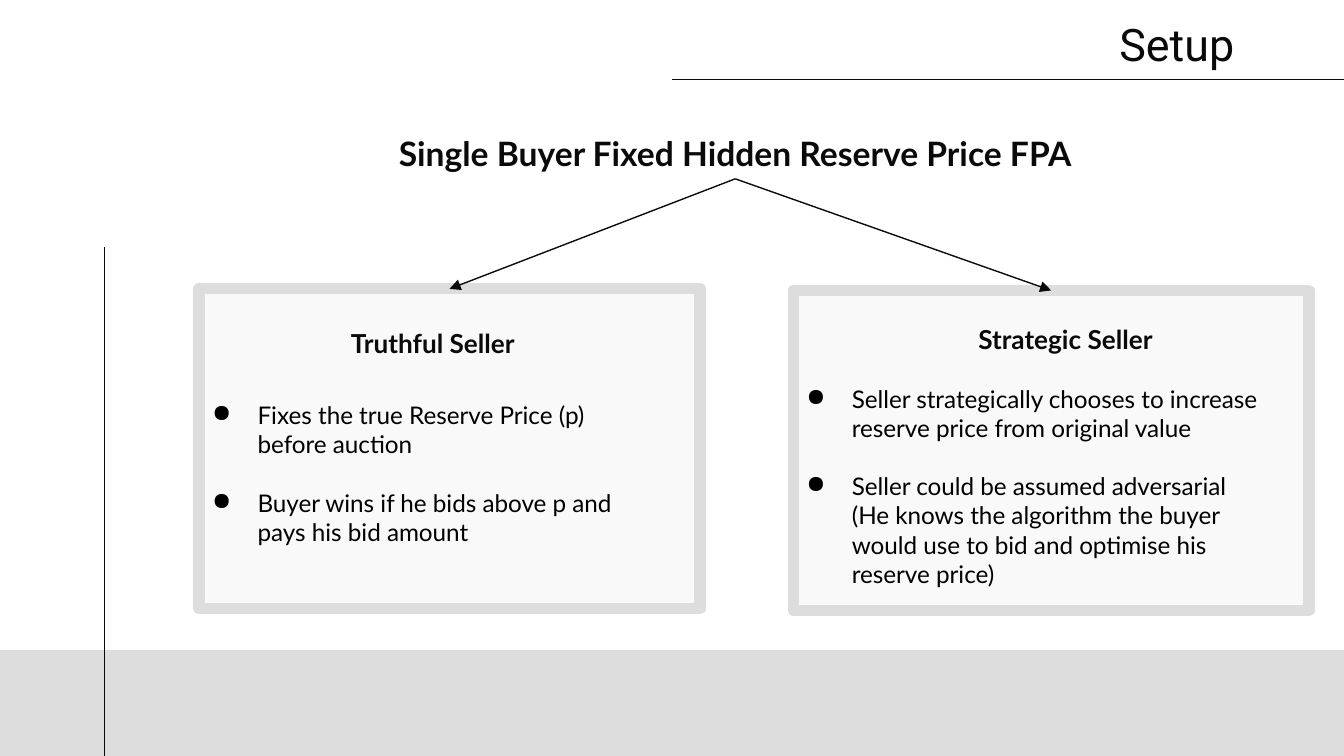
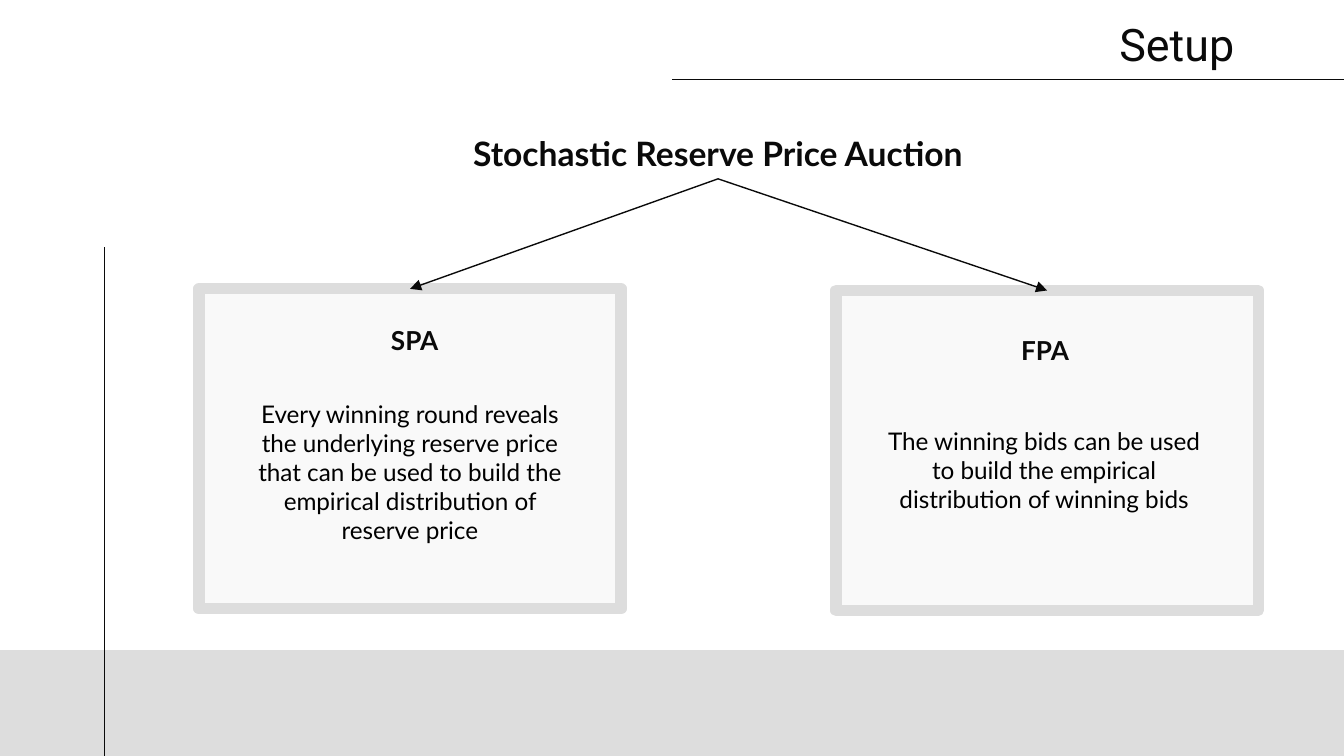
from dataclasses import dataclass
from typing import Optional

import pptx
import pptx.dml.color
import pptx.enum.shapes
import pptx.enum.text
import pptx.oxml
import pptx.oxml.ns
import pptx.util
from lxml import etree

# Shared style; lengths are in centimetres
WIDTH, HEIGHT = 25.4, 14.29
INK, BLACK, GREY, PALE = "0A0A0A", "000000", "DDDDDD", "F9F9F9"
BODY_FONT, TITLE_FONT = "Lato", "Roboto"
INSET = 0.25
BULLET_MARGIN, BULLET_HANG = 1.27, 0.86
CARD_HEIGHT = 6.05
HEADLINE_TOP, HEADLINE_HEIGHT = 2.26, 1.12
LABEL_HEIGHT = 0.79

Cm = pptx.util.Cm
Pt = pptx.util.Pt
CENTER = pptx.enum.text.PP_ALIGN.CENTER
LEFT = pptx.enum.text.PP_ALIGN.LEFT
TOP = pptx.enum.text.MSO_ANCHOR.TOP
BOTTOM = pptx.enum.text.MSO_ANCHOR.BOTTOM


@dataclass(frozen=True)
class Box:
    left: float
    top: float
    width: float
    height: float

    @property
    def center(self) -> float:
        return self.left + self.width / 2

    @property
    def bottom(self) -> float:
        return self.top + self.height

    def lengths(self) -> list:
        return [Cm(v) for v in (self.left, self.top, self.width, self.height)]


@dataclass(frozen=True)
class Style:
    size: float
    font: str = BODY_FONT
    color: str = INK
    bold: bool = False
    align: int = LEFT
    anchor: int = TOP


@dataclass(frozen=True)
class Para:
    text: str
    bullet: Optional[bool] = None  # None: plain, False: indented only
    after: float = 0


@dataclass(frozen=True)
class Card:
    frame: Box
    label: str
    label_box: Box
    body: list[Para]
    body_box: Box
    body_style: Style


@dataclass(frozen=True)
class Setup:
    headline: str
    headline_left: float
    headline_width: float
    cards: list[Card]


TITLE = Style(24, TITLE_FONT, align=CENTER, anchor=BOTTOM)
HEADLINE = Style(18, bold=True, align=CENTER)
LABEL = Style(14, bold=True)
POINTS = Style(13, color=BLACK)
SUMMARY = Style(13, color=BLACK, align=CENTER)
LINE_GAP = 15.6  # one line of body text, in points


# Drawing helpers
def rgb(color: str) -> pptx.dml.color.RGBColor:
    return pptx.dml.color.RGBColor.from_string(color)


def add_rect(slide, box: Box, fill: str, border: Optional[str] = None) -> None:
    sp = slide.shapes.add_shape(pptx.enum.shapes.MSO_SHAPE.RECTANGLE, *box.lengths())
    sp.shadow.inherit = False
    sp.fill.solid()
    sp.fill.fore_color.rgb = rgb(fill)
    if border:
        sp.line.color.rgb = rgb(border)
        sp.line.width = Pt(6)
    else:
        sp.line.fill.background()


def add_line(slide, x1: float, y1: float, x2: float, y2: float, arrow: bool = False) -> None:
    cx = slide.shapes.add_connector(
        pptx.enum.shapes.MSO_CONNECTOR.STRAIGHT, Cm(x1), Cm(y1), Cm(x2), Cm(y2))
    cx.line.color.rgb = rgb(INK)
    cx.line.width = Pt(0.75)
    sp_pr = cx._element.spPr
    if arrow:
        ln = sp_pr.find(pptx.oxml.ns.qn("a:ln"))
        etree.SubElement(ln, pptx.oxml.ns.qn("a:tailEnd"), type="triangle")
    etree.SubElement(sp_pr, pptx.oxml.ns.qn("a:effectLst"))


def indent(p, bullet: bool) -> None:
    ppr = p._p.get_or_add_pPr()
    ppr.set("marL", str(Cm(BULLET_MARGIN)))
    ppr.set("indent", str(Cm(-BULLET_HANG) if bullet else 0))
    if bullet:
        clr = etree.SubElement(ppr, pptx.oxml.ns.qn("a:buClr"))
        etree.SubElement(clr, pptx.oxml.ns.qn("a:srgbClr"), val=BLACK)
        etree.SubElement(ppr, pptx.oxml.ns.qn("a:buChar"), char="●")


def add_text(slide, box: Box, paras: list[Para], style: Style) -> None:
    tf = slide.shapes.add_textbox(*box.lengths()).text_frame
    tf.word_wrap = True
    tf.vertical_anchor = style.anchor
    tf.margin_left = tf.margin_right = tf.margin_top = tf.margin_bottom = Cm(INSET)
    for i, para in enumerate(paras):
        p = tf.add_paragraph() if i else tf.paragraphs[0]
        p.alignment = style.align
        p.space_after = Pt(para.after)
        if para.bullet is not None:
            indent(p, para.bullet)
        r = p.add_run()
        r.text = para.text
        r.font.name = style.font
        r.font.size = Pt(style.size)
        r.font.bold = style.bold
        r.font.color.rgb = rgb(style.color)


# Slide parts
def add_base(slide) -> None:
    add_rect(slide, Box(0, 12.29, WIDTH, 2), GREY)
    add_line(slide, WIDTH / 2, 1.5, WIDTH, 1.5)
    add_line(slide, 1.98, HEIGHT, 1.98, 4.67)
    add_text(slide, Box(14.99, -2.13, 14.5, 3.71), [Para("Setup")], TITLE)


def add_setup(prs, setup: Setup) -> None:
    slide = prs.slides.add_slide(prs.slide_layouts[6])
    add_base(slide)
    head = Box(setup.headline_left, HEADLINE_TOP, setup.headline_width, HEADLINE_HEIGHT)
    add_text(slide, head, [Para(setup.headline)], HEADLINE)
    for card in setup.cards:
        add_rect(slide, card.frame, PALE, GREY)
    for card in setup.cards:
        add_line(slide, head.center, head.bottom, card.frame.center, card.frame.top, arrow=True)
        add_text(slide, card.label_box, [Para(card.label)], LABEL)
        add_text(slide, card.body_box, card.body, card.body_style)


# Content
SETUPS = [
    Setup("Single Buyer Fixed Hidden Reserve Price FPA", 5.41, 16.97, [
        Card(Box(3.76, 5.46, 9.47, CARD_HEIGHT),
             "Truthful Seller", Box(6.38, 5.94, 4.52, LABEL_HEIGHT),
             [Para("Fixes the true Reserve Price (p) before auction", True, LINE_GAP),
              Para("Buyer wins if he bids above p and pays his bid amount", True)],
             Box(3.35, 7.32, 9.27, 3.3), POINTS),
        Card(Box(14.99, 5.49, 9.75, CARD_HEIGHT),
             "Strategic Seller", Box(18.24, 5.87, 4.52, LABEL_HEIGHT),
             [Para("Seller strategically chooses to increase reserve price from original value",
                   True, LINE_GAP),
              Para("Seller could be assumed adversarial", True),
              Para("(He knows the algorithm the buyer would use to bid and optimise "
                   "his reserve price)", False)],
             Box(14.58, 7.01, 10.01, 4.39), POINTS),
    ]),
    Setup("Stochastic Reserve Price Auction", 8.31, 10.52, [
        Card(Box(3.76, 5.46, 7.98, CARD_HEIGHT),
             "SPA", Box(7.14, 5.89, 1.57, LABEL_HEIGHT),
             [Para("Every winning round reveals the underlying reserve price that can be "
                   "used to build the empirical distribution of reserve price")],
             Box(4.57, 7.29, 6.35, 3.3), SUMMARY),
        Card(Box(15.8, 5.49, 7.98, CARD_HEIGHT),
             "FPA", Box(19.05, 6.07, 1.93, LABEL_HEIGHT),
             [Para("The winning bids can be used to build the empirical distribution "
                   "of winning bids")],
             Box(16.48, 7.8, 6.5, 2.18), SUMMARY),
    ]),
]


def main() -> None:
    prs = pptx.Presentation()
    prs.slide_width, prs.slide_height = Cm(WIDTH), Cm(HEIGHT)
    for setup in SETUPS:
        add_setup(prs, setup)
    prs.save("out.pptx")


if __name__ == "__main__":
    main()
